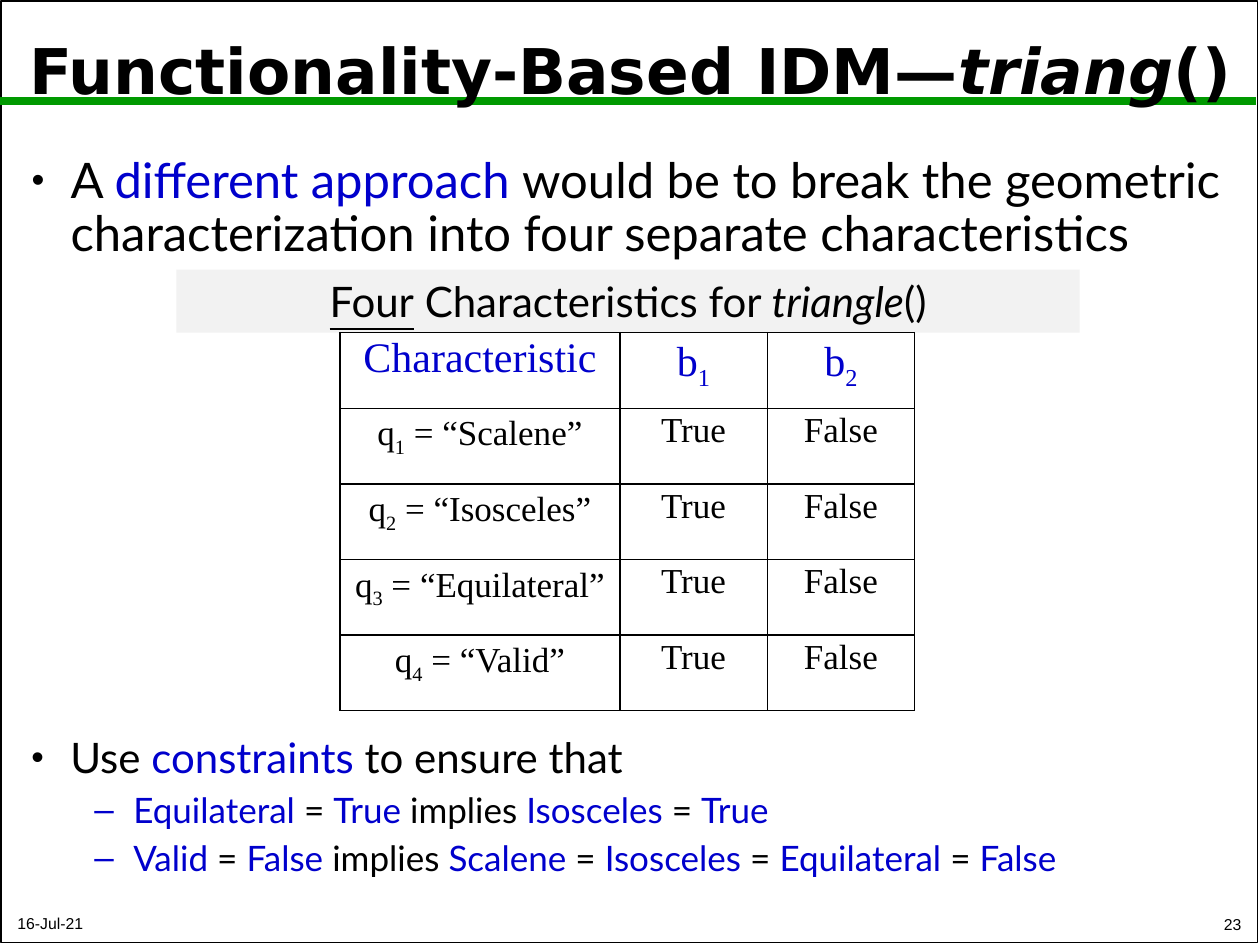
from lxml import etree
from pptx import Presentation
from pptx.dml.color import RGBColor
from pptx.enum.shapes import MSO_CONNECTOR, MSO_SHAPE
from pptx.enum.text import MSO_ANCHOR, MSO_AUTO_SIZE, PP_ALIGN
from pptx.oxml.ns import qn
from pptx.util import Inches, Pt

BLACK = RGBColor(0x00, 0x00, 0x00)
BLUE = RGBColor(0x00, 0x00, 0xCC)
GREEN = RGBColor(0x00, 0x99, 0x00)
GRAY = RGBColor(0xF2, 0xF2, 0xF2)
LEFT, CENTER, RIGHT = PP_ALIGN.LEFT, PP_ALIGN.CENTER, PP_ALIGN.RIGHT
TOP, MIDDLE, BOTTOM = MSO_ANCHOR.TOP, MSO_ANCHOR.MIDDLE, MSO_ANCHOR.BOTTOM
RECTANGLE, STRAIGHT = MSO_SHAPE.RECTANGLE, MSO_CONNECTOR.STRAIGHT
NO_AUTOFIT = MSO_AUTO_SIZE.NONE

CHARACTERISTICS = ["Scalene", "Isosceles", "Equilateral", "Valid"]
COLUMN_WIDTHS = [2.22, 1.17, 1.17]
ROW_HEIGHT = 0.6


def place(sp, left, top, width, height):
    sp.left, sp.top = Inches(left), Inches(top)
    sp.width, sp.height = Inches(width), Inches(height)


def setup_frame(tf, anchor):
    tf.auto_size = NO_AUTOFIT
    tf.word_wrap = True
    tf.vertical_anchor = anchor


def write_runs(p, runs, font, size, color=BLACK, align=LEFT):
    p.alignment = align
    for text, style in runs:
        r = p.add_run()
        r.text = text
        r.font.name = font
        r.font.size = Pt(size)
        r.font.color.rgb = style.get("color", color)
        r.font.bold = style.get("bold", False)
        r.font.italic = style.get("italic", False)
        r.font.underline = style.get("underline", False)
        if style.get("subscript"):
            r._r.get_or_add_rPr().set("baseline", "-25000")


def set_spacing(p, size):
    p.line_spacing = 0.9
    p.space_before = Pt(0.3 * size)


def alternate(texts, colors):
    return [(text, {"color": colors[i % 2]}) for i, text in enumerate(texts)]


def write_bullet(p, runs, size, char, indent, percent=100):
    write_runs(p, runs, "Lato", size)
    set_spacing(p, size)
    pPr = p._p.get_or_add_pPr()
    pPr.set("marL", str(Inches(indent)))
    pPr.set("indent", str(Inches(-0.31)))
    etree.SubElement(pPr, qn("a:buSzPct")).set("val", str(percent * 1000))
    etree.SubElement(pPr, qn("a:buFont")).set("typeface", "Arial")
    etree.SubElement(pPr, qn("a:buChar")).set("char", char)


def add_frame(s):
    border = s.shapes.add_shape(RECTANGLE, 0, 0, 0, 0)
    place(border, 0.01, 0.01, 9.97, 7.47)
    border.shadow.inherit = False
    border.fill.background()
    border.line.color.rgb = BLACK
    border.line.width = Pt(1)
    rule = s.shapes.add_connector(STRAIGHT, 0, Inches(0.8), Inches(9.97), Inches(0.8))
    rule.line.color.rgb = GREEN
    rule.line.width = Pt(4.5)
    etree.SubElement(rule._element.spPr, qn("a:effectLst"))
    for i, sp in enumerate([border, rule]):
        s.shapes._spTree.insert(2 + i, sp._element)


def fill_title(s):
    title = s.shapes.title
    place(title, 0.05, 0.11, 9.9, 0.95)
    setup_frame(title.text_frame, MIDDLE)
    p = title.text_frame.paragraphs[0]
    runs = [("Functionality-Based IDM—", {"bold": True}),
            ("triang", {"bold": True, "italic": True}),
            ("()", {"bold": True})]
    write_runs(p, runs, "DejaVu Sans", 36, align=CENTER)
    p.line_spacing = 0.9


def fill_body(s):
    body = s.placeholders[1]
    place(body, 0.15, 1.19, 9.69, 0.92)
    setup_frame(body.text_frame, TOP)
    texts = ["A ", "different approach ",
             "would be to break the geometric characterization into "
             "four separate characteristics"]
    write_bullet(body.text_frame.paragraphs[0], alternate(texts, (BLACK, BLUE)),
                 28, "•", 0.31, 75)


def add_caption(s):
    caption = s.shapes.add_shape(RECTANGLE, 0, 0, 0, 0)
    place(caption, 1.4, 2.14, 7.17, 0.5)
    caption.shadow.inherit = False
    caption.fill.solid()
    caption.fill.fore_color.rgb = GRAY
    caption.line.fill.background()
    setup_frame(caption.text_frame, MIDDLE)
    runs = [("Four", {"underline": True}), (" Characteristics for ", {}),
            ("triangle", {"italic": True}), ("()", {})]
    write_runs(caption.text_frame.paragraphs[0], runs, "Lato", 24, align=CENTER)


def set_borders(cell):
    tcPr = cell._tc.get_or_add_tcPr()
    for i, side in enumerate(["a:lnL", "a:lnR", "a:lnT", "a:lnB"]):
        ln = etree.Element(qn(side), w=str(Pt(1)))
        fill = etree.SubElement(ln, qn("a:solidFill"))
        etree.SubElement(fill, qn("a:srgbClr")).set("val", str(BLACK))
        tcPr.insert(i, ln)


def fill_cell(cell, runs, size, color):
    cell.fill.background()
    set_borders(cell)
    p = cell.text_frame.paragraphs[0]
    write_runs(p, runs, "Times New Roman", size, color, CENTER)
    set_spacing(p, size)


def indexed(letter, number):
    return [(letter, {}), (str(number), {"subscript": True})]


def add_characteristics_table(s):
    rows = [[[("Characteristic", {})], indexed("b", 1), indexed("b", 2)]]
    for number, name in enumerate(CHARACTERISTICS, 1):
        label = indexed("q", number) + [(f" = “{name}”", {})]
        rows.append([label, [("True", {})], [("False", {})]])
    table = s.shapes.add_table(
        len(rows), len(COLUMN_WIDTHS), Inches(2.7), Inches(2.64),
        Inches(sum(COLUMN_WIDTHS)), Inches(ROW_HEIGHT * len(rows))).table
    table.first_row = False
    table.horz_banding = False
    for column, width in zip(table.columns, COLUMN_WIDTHS):
        column.width = Inches(width)
    for i, row in enumerate(rows):
        size, color = (20, BLACK) if i else (24, BLUE)
        for j, runs in enumerate(row):
            fill_cell(table.cell(i, j), runs, size, color)


def add_text_box(s, left, top, width, height, anchor):
    box = s.shapes.add_textbox(0, 0, 0, 0)
    setup_frame(box.text_frame, anchor)
    place(box, left, top, width, height)
    return box.text_frame


def add_constraints(s):
    tf = add_text_box(s, 0.15, 5.8, 9.69, 1.19, TOP)
    intro = ["Use ", "constraints ", "to ensure that"]
    write_bullet(tf.paragraphs[0], alternate(intro, (BLACK, BLUE)), 24, "•", 0.31, 85)
    rules = [
        ["Equilateral ", "= ", "True ", "implies ", "Isosceles ", "= ", "True"],
        ["Valid ", "= ", "False ", "implies ", "Scalene ", "= ", "Isosceles ",
         "= ", "Equilateral ", "= ", "False"],
    ]
    for texts in rules:
        p = tf.add_paragraph()
        p.level = 1
        write_bullet(p, alternate(texts, (BLUE, BLACK)), 20, "–", 0.81)


def add_footer(s, text, left, top, width, height, align):
    tf = add_text_box(s, left, top, width, height, BOTTOM)
    write_runs(tf.paragraphs[0], [(text, {})], "Arial", 9, align=align)


def main():
    prs = Presentation()
    prs.slide_width, prs.slide_height = Inches(10), Inches(7.5)
    s = prs.slides.add_slide(prs.slide_layouts[1])
    add_frame(s)
    fill_title(s)
    fill_body(s)
    add_caption(s)
    add_characteristics_table(s)
    add_constraints(s)
    add_footer(s, "16-Jul-21", 0.04, 7.18, 4.2, 0.27, LEFT)
    add_footer(s, "23", 7.87, 7.17, 2.08, 0.29, RIGHT)
    prs.save("out.pptx")


if __name__ == "__main__":
    main()
